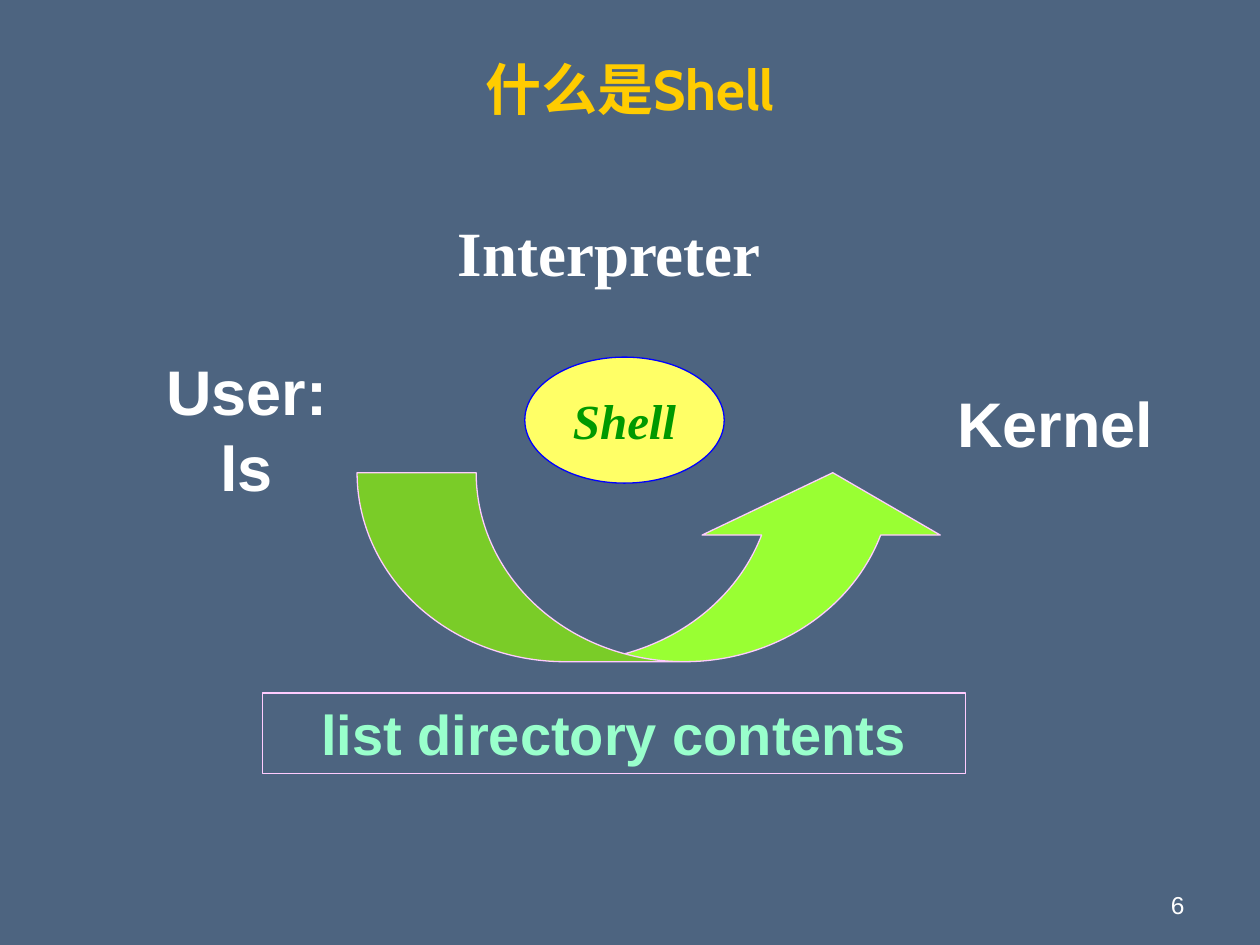
"""Build the slide that explains what a shell is."""
from pptx import Presentation
from pptx.dml.color import RGBColor
from pptx.enum.shapes import MSO_SHAPE
from pptx.enum.text import MSO_ANCHOR, PP_ALIGN
from pptx.util import Cm, Pt

COLORS = {
    "background": "4D6480",
    "title": "FFCC00",
    "white": "FFFFFF",
    "arrow": "99FF33",
    "outline": "FFCCFF",
    "result": "99FFCC",
    "oval": "FFFF66",
    "oval_line": "0000FF",
    "shell": "009900",
}


def rgb(name):
    """Return the named colour."""
    return RGBColor.from_string(COLORS[name])


def write(s, lines, font, size, color, align=PP_ALIGN.CENTER,
          anchor=MSO_ANCHOR.TOP, wrap=True, spacing=None, **style):
    """Write lines of one paragraph into a shape."""
    tf = s.text_frame
    tf.word_wrap = wrap
    tf.vertical_anchor = anchor
    p = tf.paragraphs[0]
    p.alignment = align
    p.line_spacing = spacing
    values = {"name": font, "size": Pt(size), **style}
    for i, line in enumerate(lines.split("\n")):
        if i:
            p.add_line_break()
        r = p.add_run()
        r.text = line
        for key, value in values.items():
            setattr(r.font, key, value)
        r.font.color.rgb = rgb(color)


def add_label(slide, box, lines, font, size, color, **style):
    """Add a text box at left, top, width, height in centimetres."""
    s = slide.shapes.add_textbox(*map(Cm, box))
    write(s, lines, font, size, color, **style)


def add_figure(slide, kind, box, line, fill=None, adjustments=()):
    """Add a preset shape with a thin outline and an optional fill."""
    s = slide.shapes.add_shape(kind, *map(Cm, box))
    s.shadow.inherit = False
    s.line.color.rgb = rgb(line)
    s.line.width = Pt(0.75)
    if fill:
        s.fill.solid()
        s.fill.fore_color.rgb = rgb(fill)
    else:
        s.fill.background()
    for i, value in enumerate(adjustments):
        s.adjustments[i] = value
    return s


def main():
    """Build and save the slide."""
    prs = Presentation()
    prs.slide_width, prs.slide_height = Cm(25.4), Cm(19.05)
    slide = prs.slides.add_slide(prs.slide_layouts[6])
    fill = slide.background.fill
    fill.solid()
    fill.fore_color.rgb = rgb("background")
    middle = MSO_ANCHOR.MIDDLE

    add_label(slide, (18.21, 17.35, 5.92, 1.32), "6", "Arial", 14, "white",
              align=PP_ALIGN.RIGHT, anchor=MSO_ANCHOR.BOTTOM)
    add_label(slide, (1.27, 0.81, 22.86, 1.93), "什么是Shell", "Cabin", 32,
              "title", anchor=middle, bold=True)
    add_label(slide, (8.69, 4.24, 7.19, 1.9), "Interpreter",
              "Times New Roman", 36, "white", anchor=middle, spacing=0.85,
              bold=True)
    add_label(slide, (2.97, 6.99, 4.01, 3.3), "User:\nls", "Arial", 36,
              "white", bold=True)
    add_figure(slide, MSO_SHAPE.CURVED_UP_ARROW, (7.2, 9.53, 11.99, 3.81),
               "outline", "arrow", (0.63, 1.26, 0.33))
    add_label(slide, (18.85, 7.62, 4.85, 1.78), "Kernel", "Arial", 36,
              "white", bold=True)
    result = add_figure(slide, MSO_SHAPE.RECTANGLE,
                        (5.29, 13.97, 14.18, 1.62), "outline")
    write(result, "list directory contents", "Arial", 32, "result", bold=True)
    oval = add_figure(slide, MSO_SHAPE.OVAL, (10.58, 7.2, 4.02, 2.54),
                      "oval_line", "oval")
    write(oval, "Shell", "Times New Roman", 28, "shell", anchor=middle,
          wrap=False, bold=True, italic=True)
    prs.save("out.pptx")


if __name__ == "__main__":
    main()
